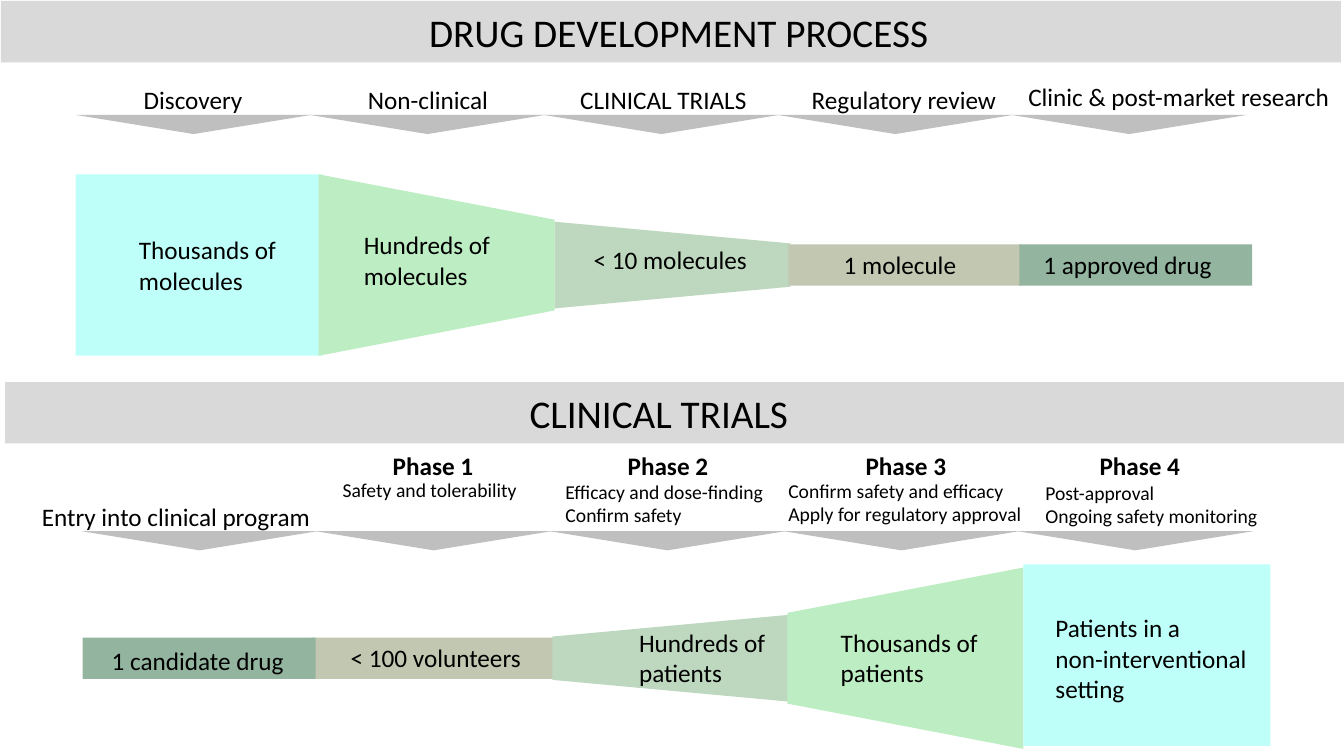
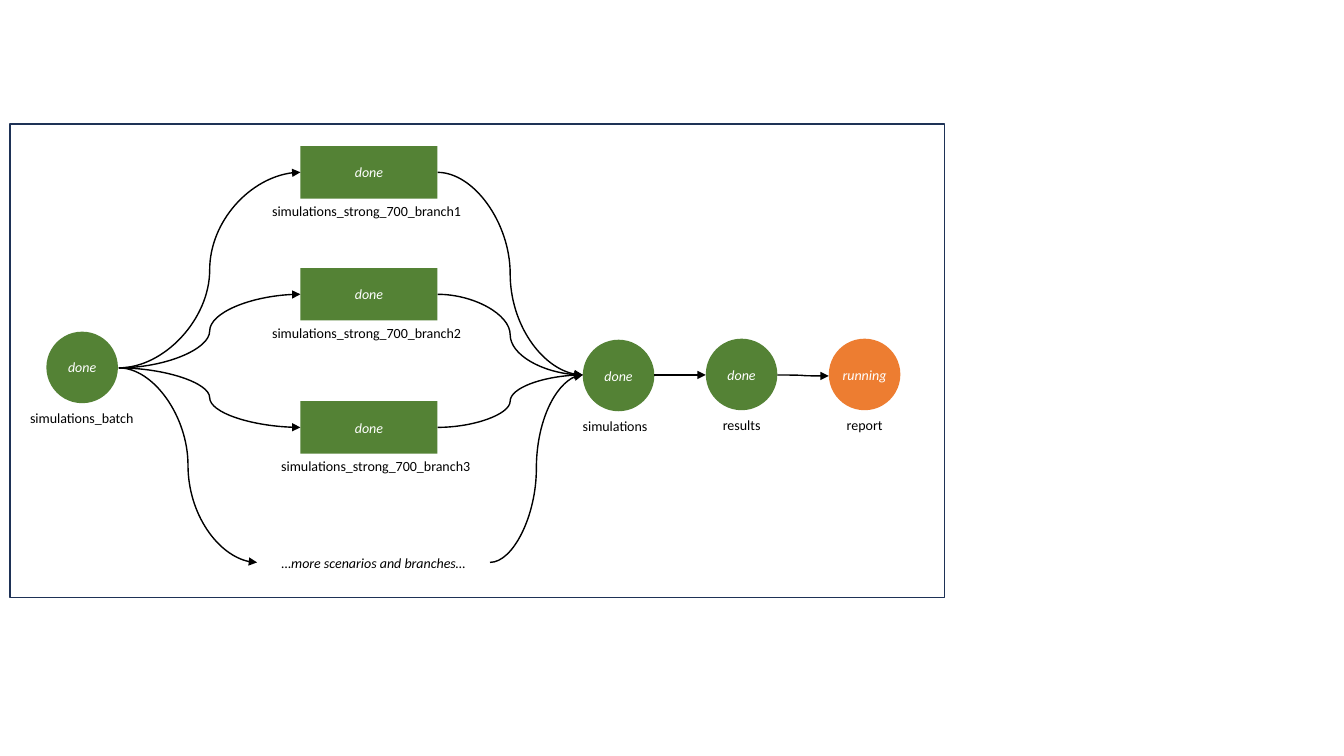
from pptx import Presentation
from pptx.dml.color import RGBColor
from pptx.enum.shapes import MSO_CONNECTOR, MSO_SHAPE
from pptx.enum.text import MSO_ANCHOR, MSO_AUTO_SIZE, PP_ALIGN
from pptx.oxml.ns import qn
from pptx.util import Inches, Pt
from lxml import etree

FONT = "Calibri"
BLACK = RGBColor(0x00, 0x00, 0x00)
WHITE = RGBColor(0xFF, 0xFF, 0xFF)
BAND = RGBColor(0xD9, 0xD9, 0xD9)
MARKER = RGBColor(0xBF, 0xBF, 0xBF)
AQUA = RGBColor(0xBF, 0xFF, 0xF9)
MINT = RGBColor(0xBD, 0xED, 0xC2)
SAGE = RGBColor(0xBE, 0xD8, 0xC0)
KHAKI = RGBColor(0xC1, 0xC7, 0xB1)
TEAL = RGBColor(0x93, 0xB5, 0xA0)
DONE = RGBColor(0x54, 0x82, 0x35)
RUNNING = RGBColor(0xED, 0x7D, 0x31)
FRAME = RGBColor(0x1E, 0x32, 0x56)

SLIDE_W, SLIDE_H = 13.33, 7.5
COL = 2.32             # pitch of the five stages
BAND_W, BAND_H = 13.29, 0.61
LINE_H = 0.4           # one line of 18 point text with its insets


def put_text(tf, text, size=18, color=BLACK, bold=False, italic=False,
             align=PP_ALIGN.LEFT, anchor=MSO_ANCHOR.TOP, wrap=False):
    tf.word_wrap = wrap
    tf.vertical_anchor = anchor
    for i, line in enumerate(text.split("\n")):
        p = tf.paragraphs[0] if i == 0 else tf.add_paragraph()
        p.alignment = align
        r = p.add_run()
        r.text = line
        r.font.name, r.font.size = FONT, Pt(size)
        r.font.bold, r.font.italic = bold, italic
        r.font.color.rgb = color


def add_box(s, x, y, w, h=LINE_H, text="", kind=None, fill=None, rotation=0, **fmt):
    """Add a text box, or a preset shape when kind is given; rotation is about the centre."""
    at = [Inches(v) for v in (x, y, w, h)]
    if kind is None:
        sp = s.shapes.add_textbox(*at)
        sp.text_frame.auto_size = MSO_AUTO_SIZE.SHAPE_TO_FIT_TEXT
    else:
        sp = s.shapes.add_shape(kind, *at)
        sp.shadow.inherit = False
        sp.line.fill.background()
        sp.rotation = rotation
        if fill is None:
            sp.fill.background()
        else:
            sp.fill.solid()
            sp.fill.fore_color.rgb = fill
    if text:
        put_text(sp.text_frame, text, **fmt)
    return sp


prs = Presentation()
prs.slide_width, prs.slide_height = Inches(SLIDE_W), Inches(SLIDE_H)

# Slide 1: development funnel above, clinical trial phases below
s = prs.slides.add_slide(prs.slide_layouts[5])
heading = dict(size=28, align=PP_ALIGN.CENTER, anchor=MSO_ANCHOR.MIDDLE)

title = s.shapes.title
title.left, title.top = Inches(0.01), Inches(0.01)
title.width, title.height = Inches(BAND_W), Inches(BAND_H)
title.fill.solid()
title.fill.fore_color.rgb = BAND
title.text_frame.margin_left = Inches(0.25)
put_text(title.text_frame, "DRUG DEVELOPMENT PROCESS", **heading)

band = add_box(s, 0.05, 3.79, BAND_W, BAND_H, "CLINICAL TRIALS",
               MSO_SHAPE.RECTANGLE, BAND, **heading)
band.text_frame.margin_right = Inches(0.42)

for left, top in ((0.75, 1.14), (0.81, 5.27)):
    for i in range(5):
        add_box(s, left + i * COL, top, 2.34, 0.19,
                kind=MSO_SHAPE.ISOSCELES_TRIANGLE, fill=MARKER, rotation=180)

# Each block: left, middle line, length, height, colour, rotation of a trapezoid
blocks = (
    (0.75, 2.63, 2.45, 1.80, AQUA, 0),
    (3.16, 2.63, 2.34, 1.80, MINT, 90),
    (5.50, 2.63, 2.34, 0.86, SAGE, 90),
    (7.82, 2.63, 2.31, 0.41, KHAKI, 0),
    (10.11, 2.63, 2.31, 0.41, TEAL, 0),
    (3.09, 6.53, 2.41, 0.41, KHAKI, 0),
    (0.82, 6.53, 2.31, 0.41, TEAL, 0),
    (5.48, 6.53, 2.34, 0.86, SAGE, 270),
    (7.81, 6.53, 2.34, 1.80, MINT, 270),
    (10.15, 6.50, 2.45, 1.80, AQUA, 0),
)
for x, mid, length, height, fill, rotation in blocks:
    kind = MSO_SHAPE.TRAPEZOID if rotation else MSO_SHAPE.RECTANGLE
    w, h = (height, length) if rotation else (length, height)
    add_box(s, x + (length - w) / 2, mid - h / 2, w, h,
            kind=kind, fill=fill, rotation=rotation)

for x, y, w, text in (
    (1.28, 2.28, 1.58, "Thousands of\nmolecules"),
    (3.51, 2.23, 1.47, "Hundreds of\nmolecules"),
    (5.79, 2.37, 1.74, "< 10 molecules"),
    (8.27, 2.42, 1.33, "1 molecule"),
    (10.25, 2.42, 1.89, "1 approved drug"),
    (1.01, 6.35, 1.93, "1 candidate drug"),
    (3.38, 6.32, 1.91, "< 100 volunteers"),
    (6.24, 6.17, 1.47, "Hundreds of\npatients"),
    (8.24, 6.17, 1.58, "Thousands of\npatients"),
):
    add_box(s, x, y, w, 0.71 if "\n" in text else LINE_H, text)
add_box(s, 10.37, 6.03, 2.23, 1.01, "Patients in a\nnon-interventional setting", wrap=True)

for x, y, w, text in (
    (1.32, 0.79, 1.19, "Discovery"),
    (3.54, 0.79, 1.41, "Non-clinical"),
    (5.63, 0.79, 1.90, "CLINICAL TRIALS"),
    (7.94, 0.79, 2.05, "Regulatory review"),
    (10.08, 0.76, 3.22, "Clinic & post-market research"),
    (0.30, 4.92, 2.89, "Entry into clinical program"),
):
    add_box(s, x, y, w, text=text, align=PP_ALIGN.CENTER)

phases = (
    (3.79, 3.30, 4.69, 1.95, "Safety and tolerability"),
    (6.12, 5.51, 4.71, 2.19, "Efficacy and dose-finding\nConfirm safety"),
    (8.48, 7.72, 4.70, 2.54, "Confirm safety and efficacy\nApply for regulatory approval"),
    (10.80, 10.27, 4.72, 2.33, "Post-approval\nOngoing safety monitoring"),
)
for number, (head_x, x, y, w, aims) in enumerate(phases, 1):
    add_box(s, head_x, 4.42, 1.01, text=f"Phase {number}", bold=True, align=PP_ALIGN.CENTER)
    add_box(s, x, y, w, 0.57 if "\n" in aims else 0.34, aims, size=14)

# Slide 2: workflow of simulation jobs
s = prs.slides.add_slide(prs.slide_layouts[6])
DOT = 0.71
JOB_X, JOB_W, JOB_H = 2.98, 1.36, 0.52
state = dict(size=10, color=WHITE, italic=True, align=PP_ALIGN.CENTER, anchor=MSO_ANCHOR.MIDDLE)

for x, y, fill, status, label, label_x, label_w in (
    (0.46, 3.29, DONE, "done", "simulations_batch", 0.20, 1.24),
    (5.78, 3.37, DONE, "done", "simulations", 5.68, 0.85),
    (7.00, 3.36, DONE, "done", "results", 7.07, 0.58),
    (8.22, 3.36, RUNNING, "running", "report", 8.30, 0.56),
):
    add_box(s, x, y, DOT, DOT, status, MSO_SHAPE.OVAL, fill, **state)
    add_box(s, label_x, y + DOT + 0.01, label_w, 0.27, label, size=10)

start, gather = (1.18, 3.65), (5.78, 3.72)
# Each link: from, to, shape at the start, shape at the end
links = [
    (start, (2.55, 5.58), None, None),
    ((4.86, 5.58), gather, None, None),
    ((6.49, 3.72), (7.00, 3.72), None, None),
    ((7.71, 3.72), (8.22, 3.73), None, None),
]
for number, (y, label_x) in enumerate(((1.45, 2.60), (2.66, 2.60), (3.98, 2.69)), 1):
    job = add_box(s, JOB_X, y, JOB_W, JOB_H, "done", MSO_SHAPE.RECTANGLE, DONE, **state)
    add_box(s, label_x, y + JOB_H - 0.01, 2.11, 0.27,
            f"simulations_strong_700_branch{number}", size=10)
    mid = y + JOB_H / 2
    links += [(start, (JOB_X, mid), None, job), ((JOB_X + JOB_W, mid), gather, job, None)]

add_box(s, 2.55, 5.45, 2.31, 0.27, "…more scenarios and branches…", size=10, italic=True,
        align=PP_ALIGN.CENTER, anchor=MSO_ANCHOR.MIDDLE, wrap=True)

for begin, end, source, target in links:
    link = s.shapes.add_connector(MSO_CONNECTOR.CURVE, *[Inches(v) for v in begin + end])
    if source is not None:
        link.begin_connect(source, 3)
    if target is not None:
        link.end_connect(target, 1)
    link.line.color.rgb, link.line.width = BLACK, Pt(1)
    etree.SubElement(link.line._get_or_add_ln(), qn("a:tailEnd"), type="triangle")
    etree.SubElement(link._element.spPr, qn("a:effectLst"))

frame = add_box(s, 0.1, 1.23, 9.27, 4.7, kind=MSO_SHAPE.RECTANGLE)
frame.line.color.rgb, frame.line.width = FRAME, Pt(1)

prs.save("out.pptx")
